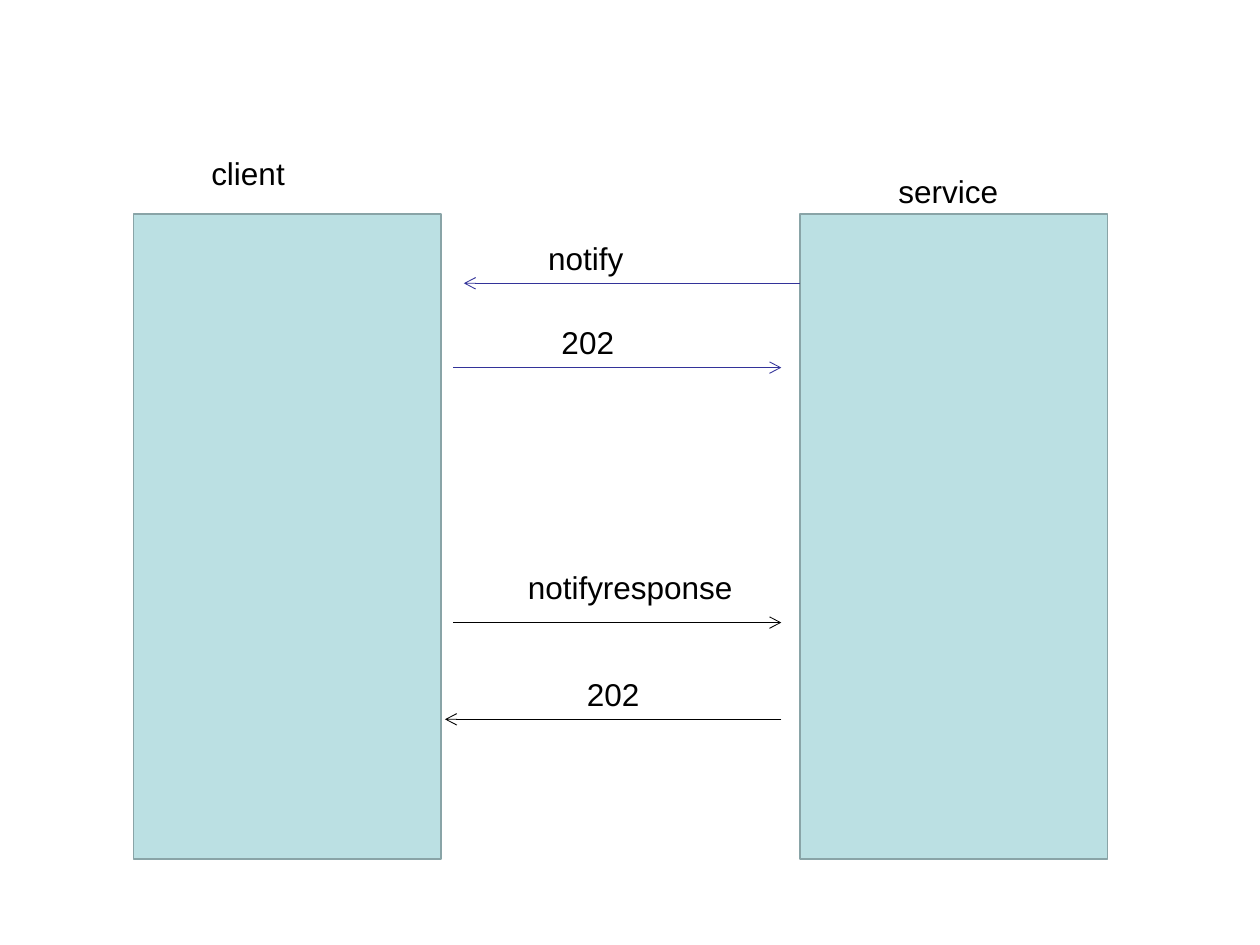
"""Build a sequence slide of notify messages between a client and a service."""
from lxml import etree
from pptx import Presentation
from pptx import util as u
from pptx.dml.color import RGBColor
from pptx.enum import shapes, text
from pptx.oxml.ns import qn

COLOURS = {"lane": "BBE0E3", "border": "89A4A7", "request": "333399", "ink": "000000"}
LANE_TOP, LANE_WIDTH, LANE_HEIGHT = 4.32, 6.2, 13
LABEL_HEIGHT = 1.02

LANES = [
    (2.69, "client", 4.01, 2.99, 1.98),
    (16.13, "service", 17.86, 3.35, 2.51),
]
MESSAGES = [
    (16.13, 9.35, 5.71, "request", "notify", 10.8, 4.7, 2.03),
    (9.14, 15.75, 7.41, "request", "202", 11.07, 6.38, 1.55),
    (9.14, 15.75, 12.55, "ink", "notifyresponse", 10.39, 11.33, 4.62),
    (15.75, 8.97, 14.5, "ink", "202", 11.58, 13.49, 1.55),
]


class Painter:
    """Hold the style and the current slide."""

    def __init__(self, slide, font="Arial", size=18):
        self.slide = slide
        self.font = font
        self.size = size

    def colour(self, name):
        """Return a named colour."""
        return RGBColor.from_string(COLOURS[name])

    def lane(self, left):
        """Draw the tall block of one participant."""
        block = self.slide.shapes.add_shape(
            shapes.MSO_SHAPE.RECTANGLE,
            u.Cm(left), u.Cm(LANE_TOP), u.Cm(LANE_WIDTH), u.Cm(LANE_HEIGHT))
        block.shadow.inherit = False
        block.fill.solid()
        block.fill.fore_color.rgb = self.colour("lane")
        block.line.color.rgb = self.colour("border")
        block.line.width = u.Pt(1)

    def label(self, wording, left, top, width):
        """Write a single line of text."""
        box = self.slide.shapes.add_textbox(
            u.Cm(left), u.Cm(top), u.Cm(width), u.Cm(LABEL_HEIGHT))
        frame = box.text_frame
        frame.word_wrap = True
        frame.margin_right = 0
        frame.auto_size = text.MSO_AUTO_SIZE.SHAPE_TO_FIT_TEXT
        span = frame.paragraphs[0].add_run()
        span.text = wording
        span.font.name = self.font
        span.font.size = u.Pt(self.size)
        span.font.color.rgb = self.colour("ink")

    def arrow(self, start, end, height, colour):
        """Draw a level arrow with an open head at its end."""
        line = self.slide.shapes.add_connector(
            shapes.MSO_CONNECTOR.STRAIGHT,
            u.Cm(start), u.Cm(height), u.Cm(end), u.Cm(height))
        line.line.color.rgb = self.colour(colour)
        line.line.width = u.Pt(0.5)
        properties = line.element.spPr
        etree.SubElement(properties.find(qn("a:ln")), qn("a:tailEnd"), type="arrow")
        etree.SubElement(properties, qn("a:effectLst"))


def main():
    """Build and save the deck."""
    deck = Presentation()
    deck.slide_width, deck.slide_height = u.Cm(25.4), u.Cm(19.05)
    painter = Painter(deck.slides.add_slide(deck.slide_layouts[6]))
    for left, *_ in LANES:
        painter.lane(left)
    for _, *name in LANES:
        painter.label(*name)
    for start, end, height, colour, *label in MESSAGES:
        painter.arrow(start, end, height, colour)
        painter.label(*label)
    deck.save("out.pptx")


if __name__ == "__main__":
    main()
